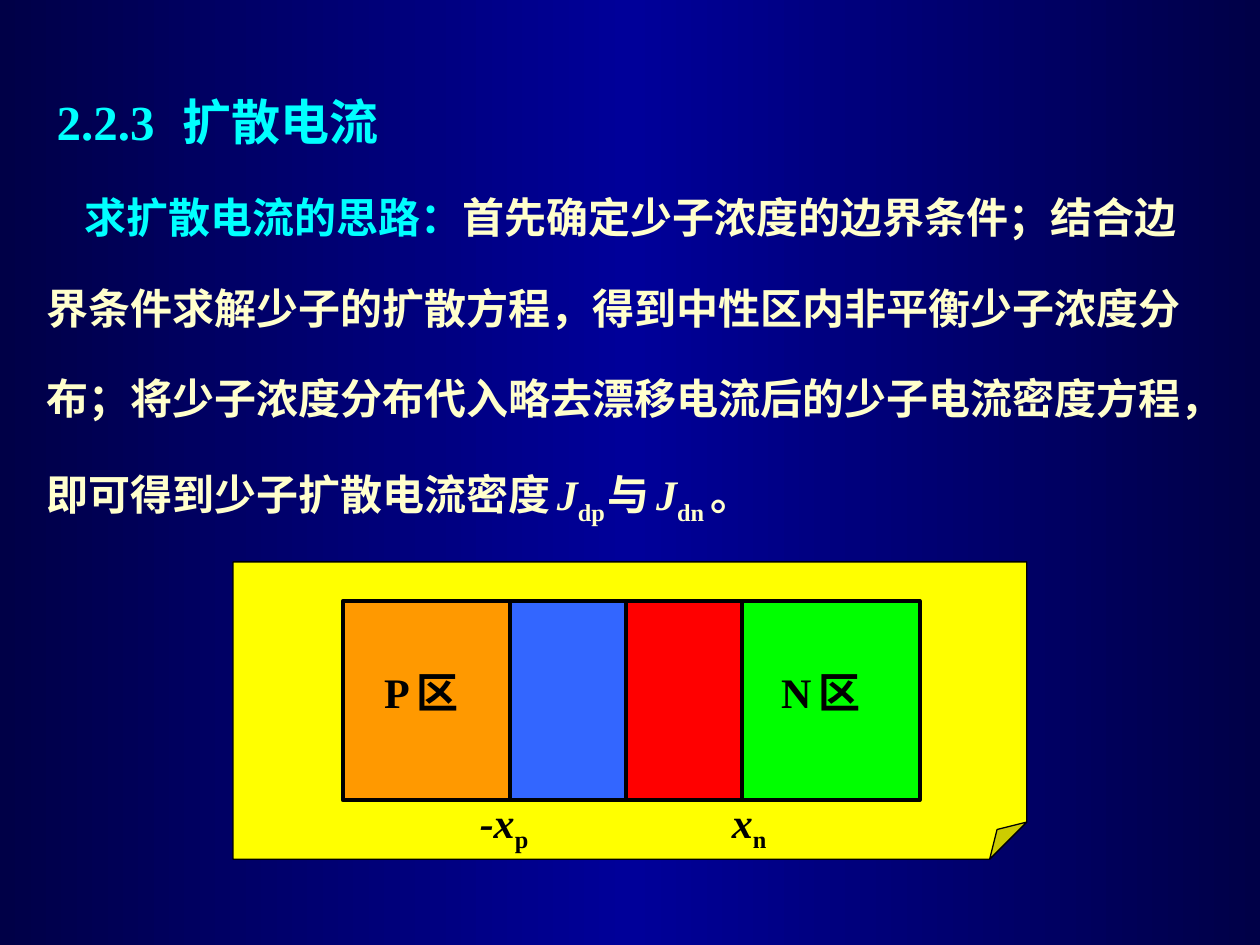
from copy import deepcopy

from lxml import etree
from pptx import Presentation
from pptx import util as u
from pptx.dml.color import RGBColor
from pptx.enum import shapes, text
from pptx.oxml import ns

COLORS = {"edge": "000047", "middle": "000099", "cyan": "00FFFF", "cream": "FFFFCC",
          "paper": "FFFF00", "n": "00FF00", "p": "FF9900", "p_side": "3366FF",
          "n_side": "FF0000", "black": "000000"}
LATIN, CHINESE = "Times New Roman", "Noto Sans CJK SC"


def color(name):
    return RGBColor.from_string(COLORS[name])


def add_span(para, content, tint="black", size=24, face=LATIN, italic=False, base=None):
    span = para.add_run()
    span.text = content
    font = span.font
    font.size, font.bold, font.italic, font.name = u.Pt(size), True, italic, face
    font.color.rgb = color(tint)
    properties = span._r.get_or_add_rPr()
    etree.SubElement(properties, ns.qn("a:ea")).set("typeface", CHINESE)
    if base is not None:
        properties.set("baseline", str(base * 1000))


def prepare(shape):
    frame = shape.text_frame
    frame.word_wrap = True
    frame.auto_size = text.MSO_AUTO_SIZE.NONE
    frame.vertical_anchor = text.MSO_ANCHOR.TOP
    para = frame.paragraphs[0]
    para.alignment = text.PP_ALIGN.LEFT
    return para


def add_text(page, box, *spans):
    para = prepare(page.shapes.add_textbox(*map(u.Inches, box)))
    for content, style in spans:
        add_span(para, content, **style)
    return para


def add_block(page, kind, box, fill, width):
    block = page.shapes.add_shape(kind, *map(u.Inches, box))
    block.shadow.inherit = False
    block.fill.solid()
    block.fill.fore_color.rgb = color(fill)
    block.line.color.rgb = color("black")
    block.line.width = u.Pt(width)
    return block


def paint_background(page):
    fill = page.background.fill
    fill.gradient()
    fill.gradient_angle = 0
    stops = page._element.find(".//" + ns.qn("a:gsLst"))
    stops.append(deepcopy(stops[0]))
    for stop, name, position in zip(fill.gradient_stops, ("edge", "middle", "edge"), (0, 0.5, 1)):
        stop.color.rgb = color(name)
        stop.position = position


def place_title(page, box):
    title = page.shapes.title
    title.left, title.top, title.width, title.height = map(u.Inches, box)
    para = prepare(title)
    properties = para._p.get_or_add_pPr()
    properties.set("marL", str(u.Inches(0.08)))
    properties.set("indent", "0")
    tabs = etree.SubElement(properties, ns.qn("a:tabLst"))
    etree.SubElement(tabs, ns.qn("a:tab"), pos=str(u.Inches(1.15)), algn="l")
    add_span(para, "2.2.3\t", "cyan", 28)
    add_span(para, "扩散电流", "cyan", 28, CHINESE)


def place_explanation(page, box):
    chinese = dict(tint="cream", face=CHINESE)
    symbol = dict(tint="cream", italic=True)
    below = dict(tint="cream", base=-25)
    para = add_text(
        page, box,
        ("求扩散电流的思路：", dict(chinese, tint="cyan")),
        ("首先确定少子浓度的边界条件；结合边界条件求解少子的扩散方程，"
         "得到中性区内非平衡少子浓度分布；将少子浓度分布代入略去漂移电流后的"
         "少子电流密度方程，即可得到少子扩散电流密度", chinese),
        (" ", dict(tint="cream", size=16)), ("J", symbol), ("dp", below),
        (" ", dict(below, size=12)), ("与", chinese),
        (" ", dict(tint="cream", size=16)), ("J", symbol), ("dn ", below), ("。", chinese))
    para.line_spacing = 1.8
    para._p.get_or_add_pPr().set("indent", str(u.Inches(0.3)))


def place_junction(page, box):
    left, top, width, height = box
    paper = add_block(page, shapes.MSO_SHAPE.FOLDED_CORNER, box, "paper", 0.75)
    guides = paper._element.find(".//" + ns.qn("a:avLst"))
    etree.SubElement(guides, ns.qn("a:gd"), name="adj", fmla="val 12500")
    middle = left + width / 2 - 0.03
    row, depth, side = top + 0.31, 1.58, 0.92
    for offset, span_width, fill in ((0, 2.33, "n"), (-2.25, 2.25, "p"),
                                     (-side, side, "p_side"), (0, side, "n_side")):
        add_block(page, shapes.MSO_SHAPE.RECTANGLE,
                  (middle + offset, row, span_width, depth), fill, 2.25)
    for letter, offset in (("P", -2.02), ("N", 1.13)):
        add_text(page, (middle + offset, row + 0.47, 1.25, 0.5),
                 (letter, {}), (" ", dict(size=16)), ("区", {}))
    for letter, mark, offset in (("-x", "p", -1.26), ("x", "n", 0.74)):
        add_text(page, (middle + offset, row + 1.5, 1, 0.56),
                 (letter, dict(italic=True)), (mark, dict(base=-25)))


def main():
    deck = Presentation()
    deck.slide_width, deck.slide_height = u.Inches(10), u.Inches(7.5)
    page = deck.slides.add_slide(deck.slide_layouts[5])
    paint_background(page)
    place_title(page, (0.27, 0.68, 8.95, 0.57))
    place_explanation(page, (0.27, 1.15, 9.45, 3.08))
    place_junction(page, (1.85, 4.46, 6.3, 2.36))
    deck.save("out.pptx")


if __name__ == "__main__":
    main()
